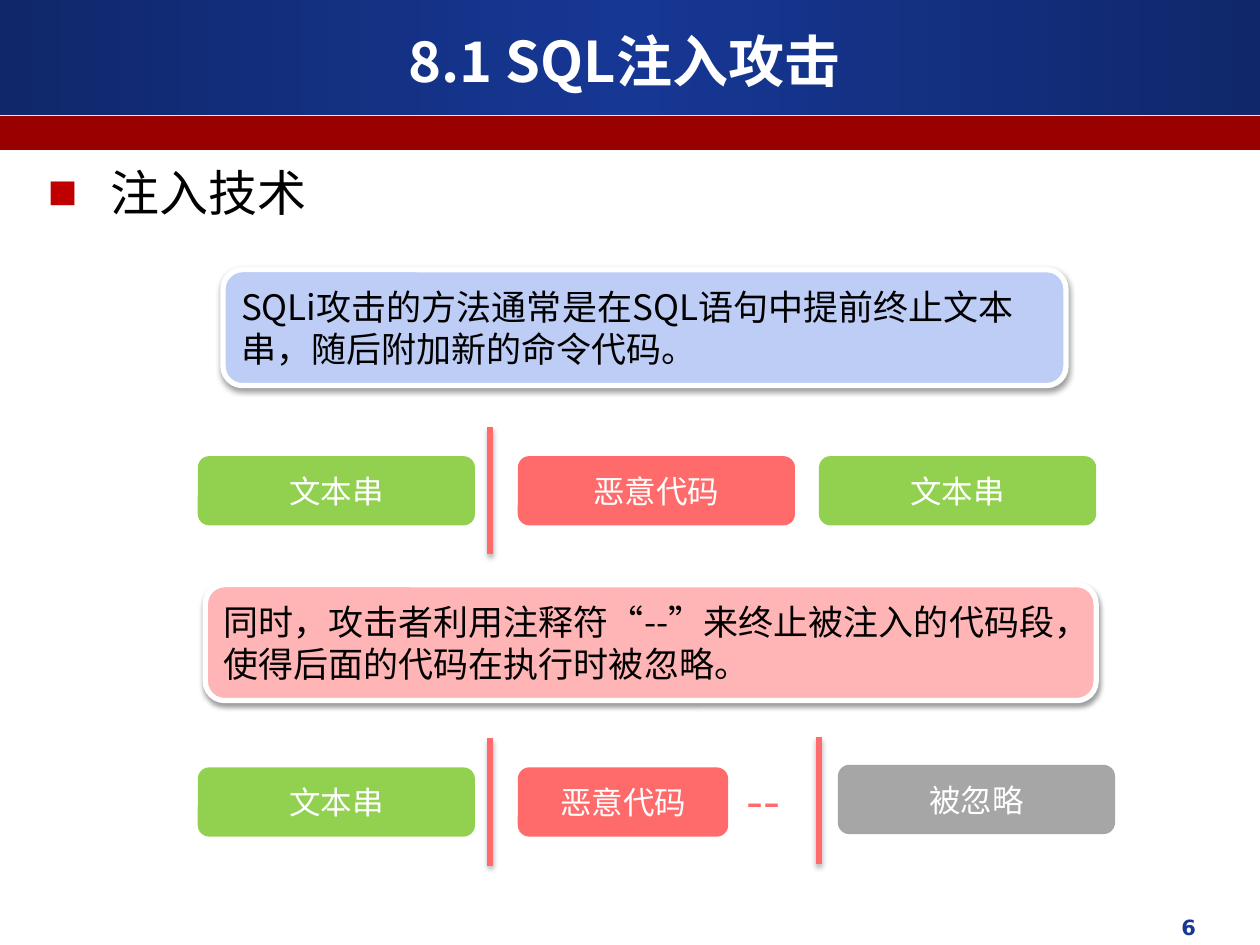
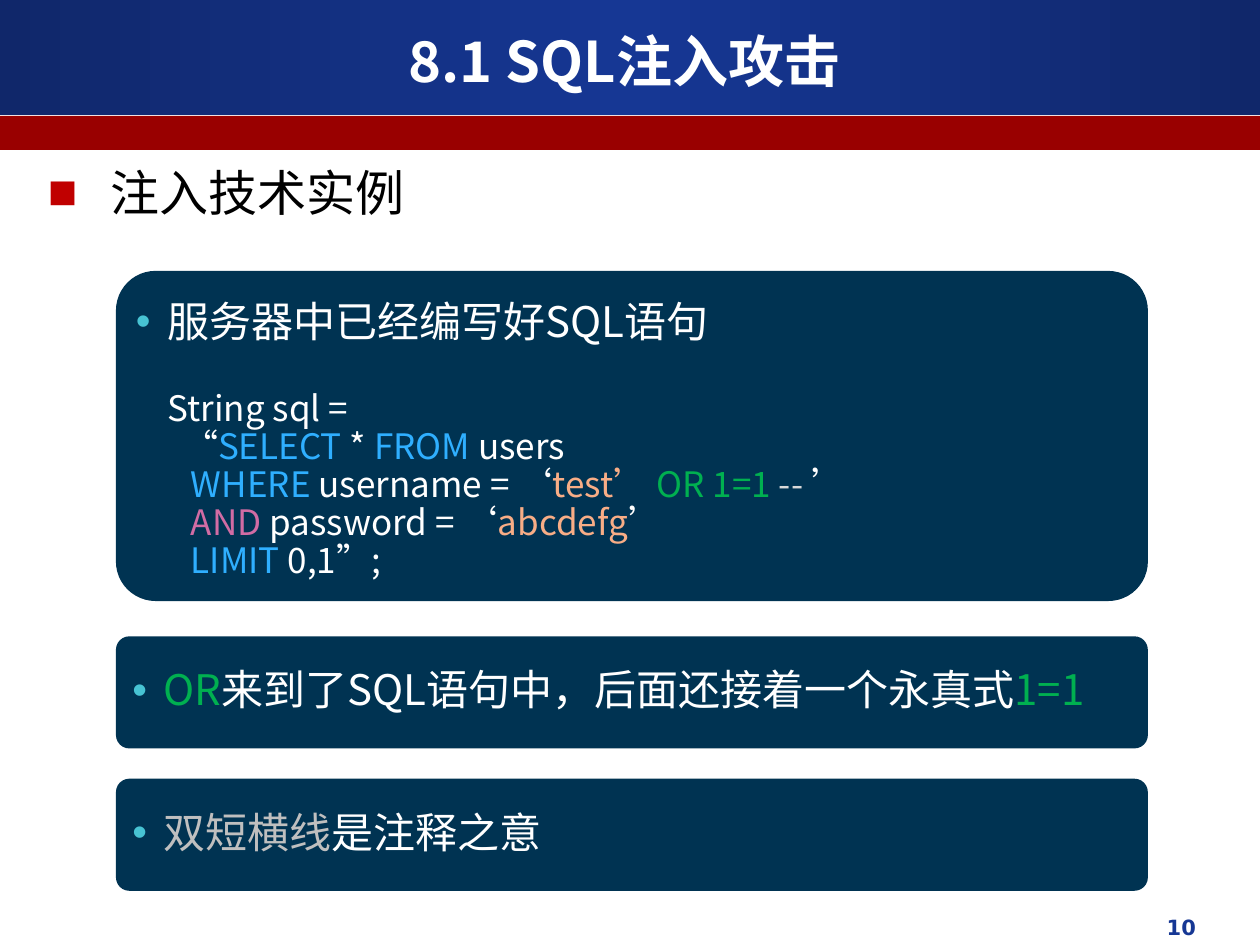
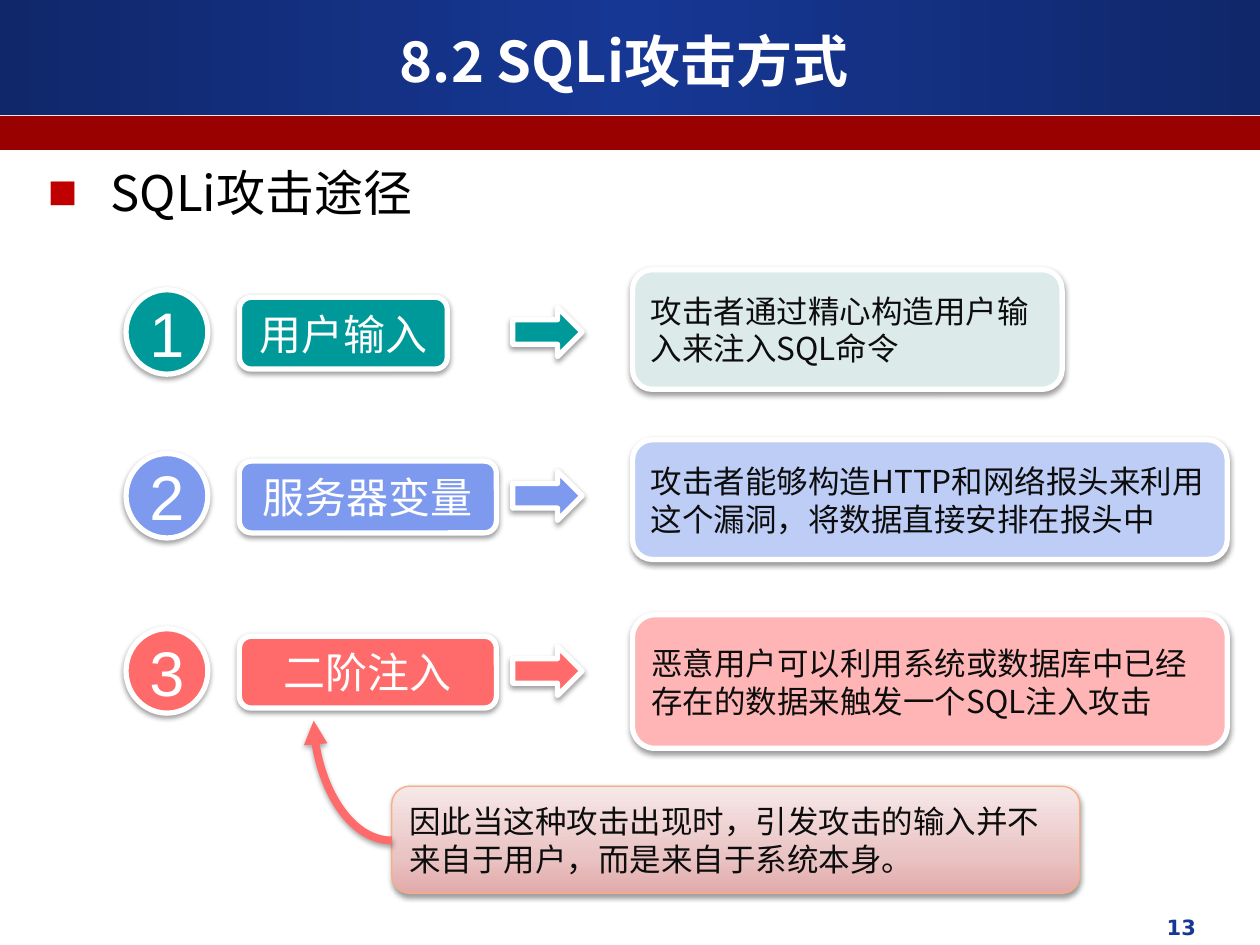
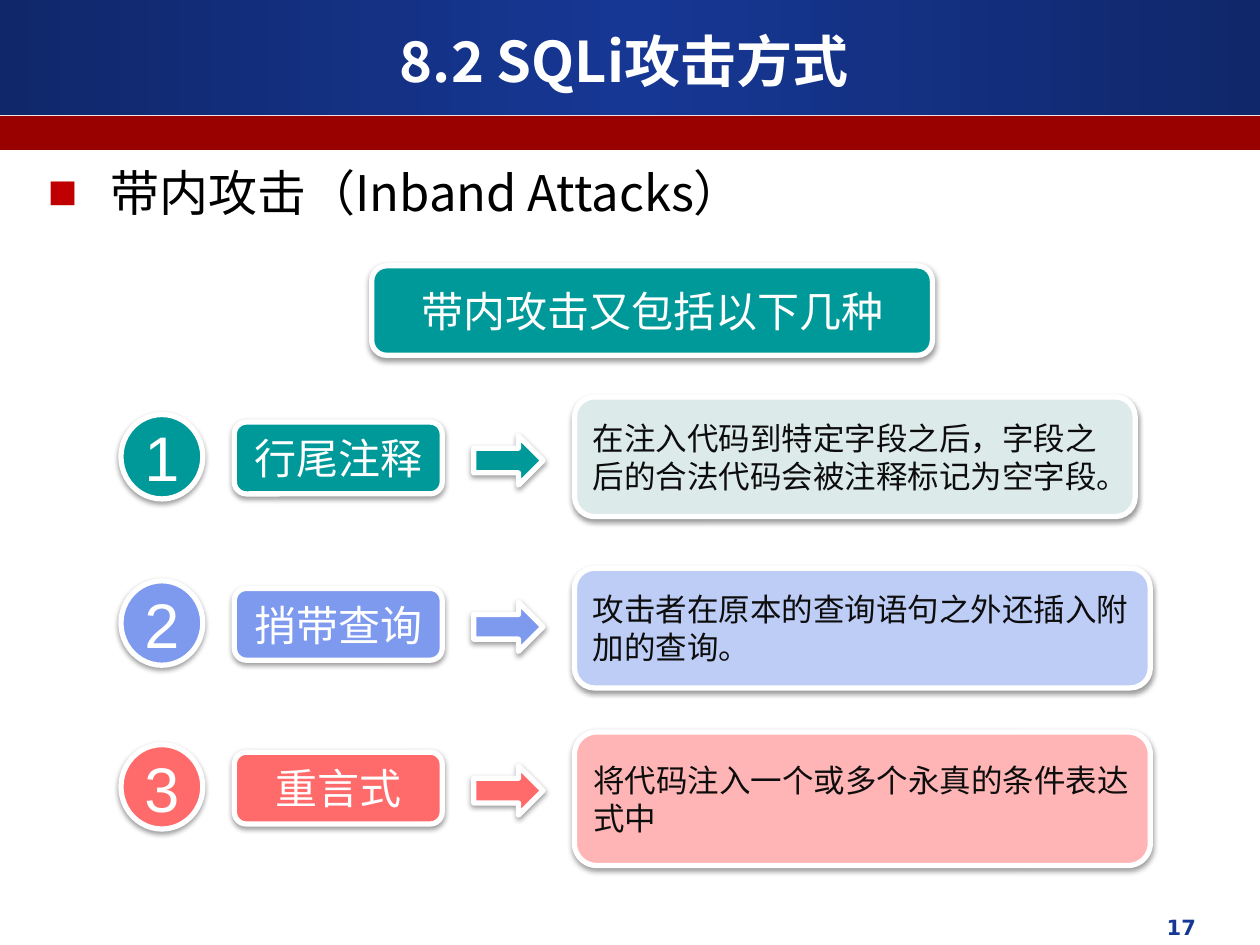
from copy import deepcopy

from lxml.etree import SubElement
from pptx import Presentation
from pptx.dml.color import RGBColor
from pptx.enum.shapes import MSO_CONNECTOR, MSO_SHAPE
from pptx.enum.text import MSO_ANCHOR, MSO_AUTO_SIZE, PP_ALIGN
from pptx.oxml.ns import qn
from pptx.util import Inches, Pt

# ---------- shared look ----------
WIDTH, HEIGHT = 10, 7.5
CJK, ARIAL, NUMERAL = "Noto Sans CJK SC", "Arial", "DejaVu Sans"
WHITE, BLACK, INK = "FFFFFF", "000000", "0D0D0D"
NAVY, BLUE, BAND_RED, BULLET_RED = "10276A", "163794", "990000", "C00000"
TEAL, PERIWINKLE, CORAL = "009999", "7E9AEE", "FF6A6A"
PALE_TEAL, PALE_BLUE, PALE_RED = "DDEAEA", "BECDF6", "FFB5B5"
LIME, GREY, PANEL, CYAN = "92D050", "A6A6A6", "003352", "47C3D3"
KEYWORD, LITERAL, INJECTED, LOGIC = "2FAFFF", "F8AD86", "00B050", "D16CA4"
TITLE_AREA = (0.33, 0.17, 9.25, 0.62)
TOPIC_AREA = (0.28, 1.24, 9.02, 0.57)
NUMBER_AREA = (6.42, 7.21, 3.17, 0.35)
STEP_COLORS = [(TEAL, PALE_TEAL), (PERIWINKLE, PALE_BLUE), (CORAL, PALE_RED)]

# ---------- content ----------
INJECTION, METHODS = "8.1 SQL注入攻击", "8.2 SQLi攻击方式"

# Statement boxes: area, fill, text
STATEMENTS = [
    ((1.77, 2.14, 6.69, 0.92), PALE_BLUE,
     "SQLi攻击的方法通常是在SQL语句中提前终止文本串，随后附加新的命令代码。"),
    ((1.63, 4.64, 7.07, 0.92), PALE_RED,
     "同时，攻击者利用注释符“--”来终止被注入的代码段，使得后面的代码在执行时被忽略。"),
]
# Query pieces: left, top, width, fill, text
PIECES = [
    (1.57, 3.62, 2.2, LIME, "文本串"),
    (4.11, 3.62, 2.2, CORAL, "恶意代码"),
    (6.5, 3.62, 2.2, LIME, "文本串"),
    (1.57, 6.09, 2.2, LIME, "文本串"),
    (4.11, 6.09, 1.67, CORAL, "恶意代码"),
    (6.65, 6.07, 2.2, GREY, "被忽略"),
]
CUTS = [(3.89, 3.39), (3.89, 5.86), (6.5, 5.85)]

QUERY = [
    ("服务器中已经编写好SQL语句\n\n", WHITE, 24), ("String sql = \n  “", WHITE),
    ("SELECT", KEYWORD), (" * ", WHITE), ("FROM", KEYWORD),
    (" users\n   ", WHITE), ("WHERE", KEYWORD), (" username = ‘", WHITE),
    ("test’ ", LITERAL), ("OR 1=1 ", INJECTED), ("-- ", "D9D9D9"),
    ("’\n   ", WHITE), ("AND", LOGIC), (" password = ‘", WHITE),
    ("abcdefg", LITERAL), ("’\n   ", WHITE), ("LIMIT", KEYWORD),
    (" 0,1”;", WHITE),
]
REMARKS = [
    (5.05, [("OR", INJECTED), ("来到了SQL语句中，后面还接着一个永真式", WHITE),
            ("1=1", INJECTED)]),
    (6.18, [("双短横线", "BFBFBF"), ("是注释之意", WHITE)]),
]

# Steps: circle top, label, label width, note top, note width, note height, note
ROUTES = [
    (2.3, "用户输入", 1.65, 2.14, 3.41, 0.95,
     "攻击者通过精心构造用户输入来注入SQL命令"),
    (3.6, "服务器变量", 2.04, 3.49, 4.72, 0.95,
     "攻击者能够构造HTTP和网络报头来利用这个漏洞，将数据直接安排在报头中"),
    (4.99, "二阶注入", 2.04, 4.88, 4.72, 1.06,
     "恶意用户可以利用系统或数据库中已经存在的数据来触发一个SQL注入攻击"),
]
SECOND_ORDER = "因此当这种攻击出现时，引发攻击的输入并不来自于用户，而是来自于系统本身。"
INBAND = [
    (3.29, "行尾注释", 1.65, 3.15, 4.45, 0.95,
     "在注入代码到特定字段之后，字段之后的合法代码会被注释标记为空字段。"),
    (4.61, "捎带查询", 1.65, 4.51, 4.57, 0.95,
     "攻击者在原本的查询语句之外还插入附加的查询。"),
    (5.91, "重言式", 1.65, 5.81, 4.57, 1.06,
     "将代码注入一个或多个永真的条件表达式中"),
]


# ---------- helpers ----------
def rgb(code):
    return RGBColor.from_string(code)


def inches(area):
    return [Inches(v) for v in area]


def write(host, text, size=18, color=WHITE, font=CJK, bold=False, align=PP_ALIGN.LEFT,
          anchor=MSO_ANCHOR.MIDDLE, wrap=True, bullet=None, spacing=1.0, before=0):
    """Fill host with one paragraph; text is a string or (text, color[, size]) runs.

    bullet is (character, color, indent in inches).
    """
    frame = host.text_frame
    frame.word_wrap = wrap
    frame.vertical_anchor = anchor
    paragraph = frame.paragraphs[0]
    paragraph.alignment = align
    paragraph.line_spacing = spacing
    paragraph.space_before = Pt(before)
    if bullet:
        mark, mark_color, indent = bullet
        props = paragraph._p.get_or_add_pPr()
        props.set("marL", str(Inches(indent)))
        props.set("indent", str(-Inches(indent)))
        SubElement(SubElement(props, qn("a:buClr")), qn("a:srgbClr"), val=mark_color)
        SubElement(props, qn("a:buFont"), typeface=ARIAL)
        SubElement(props, qn("a:buChar"), char=mark)
    for words, run_color, *own_size in [(text, color)] if isinstance(text, str) else text:
        for number, line in enumerate(words.split("\n")):
            if number:
                paragraph.add_line_break()
                paragraph._p[-1].append(deepcopy(run_format))
            if not line:
                continue
            run = paragraph.add_run()
            run.text = line
            run.font.size = Pt(own_size[0] if own_size else size)
            run.font.bold = bold
            run.font.name = font
            run.font.color.rgb = rgb(run_color)
            run_format = run._r.get_or_add_rPr()
            SubElement(run_format, qn("a:ea"), typeface=font)


def cast_shadow(part, alpha=38, distance=1.6):
    props = part._element.spPr
    effects = props.find(qn("a:effectLst"))
    if effects is None:
        effects = SubElement(props, qn("a:effectLst"))
    outer = SubElement(effects, qn("a:outerShdw"), blurRad=str(Pt(3.1)),
                       dist=str(Pt(distance)), dir="5400000", algn="t", rotWithShape="0")
    tint = SubElement(outer, qn("a:srgbClr"), val=BLACK)
    SubElement(tint, qn("a:alpha"), val=str(alpha * 1000))


def add_block(slide, kind, area, fill, line=None, line_width=3, angle=0):
    """Draw a preset; fill is a colour or a list of (percent, colour) stops."""
    block = slide.shapes.add_shape(kind, *inches(area))
    block.shadow.inherit = False
    if isinstance(fill, str):
        block.fill.solid()
        block.fill.fore_color.rgb = rgb(fill)
    else:
        block.fill.gradient()
        block.fill.gradient_angle = angle
        stops = block._element.spPr.find(".//" + qn("a:gsLst"))
        stops.clear()
        for percent, color in fill:
            stop = SubElement(stops, qn("a:gs"), pos=str(percent * 1000))
            SubElement(stop, qn("a:srgbClr"), val=color)
    if line:
        block.line.color.rgb = rgb(line)
        block.line.width = Pt(line_width)
        cast_shadow(block)
    else:
        block.line.fill.background()
    return block


def add_card(slide, area, fill, text, **text_format):
    card = add_block(slide, MSO_SHAPE.ROUNDED_RECTANGLE, area, fill, WHITE)
    write(card, text, **text_format)


def add_stroke(slide, kind, start, end, width):
    stroke = slide.shapes.add_connector(kind, *inches(start + end))
    stroke.line.color.rgb = rgb(CORAL)
    stroke.line.width = Pt(width)
    cast_shadow(stroke, alpha=35, distance=1.8)
    return stroke


def add_panel(slide, top, height, radius=0.12):
    panel = add_block(slide, MSO_SHAPE.ROUNDED_RECTANGLE, (0.92, top, 8.19, height), PANEL)
    panel.adjustments[0] = radius
    return panel


def dress_layout(layout, slide):
    """Put the header bands and placeholder places on the layout."""
    header = [(0, NAVY), (50, BLUE), (100, NAVY)]
    bands = [((0, 0, WIDTH, 0.91), header), ((0, 0.92, WIDTH, 0.27), BAND_RED)]
    for position, (area, fill) in enumerate(bands, start=2):
        band = add_block(slide, MSO_SHAPE.RECTANGLE, area, fill)
        layout.shapes.element.insert(position, band._element)
    for holder, area in zip(layout.placeholders, (TITLE_AREA, TOPIC_AREA)):
        holder.left, holder.top, holder.width, holder.height = inches(area)


def start_slide(deck, title, topic, number):
    layout = deck.slide_layouts[1]
    slide = deck.slides.add_slide(layout)
    if len(deck.slides) == 1:
        dress_layout(layout, slide)
    write(slide.shapes.title, title, size=32, bold=True, align=PP_ALIGN.CENTER)
    topic_line = slide.placeholders[1]
    write(topic_line, topic, size=28, color=BLACK, anchor=MSO_ANCHOR.TOP,
          bullet=("■", BULLET_RED, 0.5))
    topic_line.text_frame.auto_size = MSO_AUTO_SIZE.SHAPE_TO_FIT_TEXT
    page = slide.shapes.add_textbox(*inches(NUMBER_AREA))
    write(page, str(number), size=12, color=BLUE, font=NUMERAL, bold=True,
          align=PP_ALIGN.RIGHT, anchor=MSO_ANCHOR.TOP)
    return slide


def add_steps(slide, steps, circle_left, arrow_left, arrow_drop, note_left):
    """Numbered rows: circle, label, arrow, note."""
    rows = zip(steps, STEP_COLORS)
    for number, (step, (strong, pale)) in enumerate(rows, start=1):
        top, label, label_width, note_top, note_width, note_height, note = step
        circle = add_block(slide, MSO_SHAPE.OVAL, (circle_left, top, 0.65, 0.67),
                           strong, WHITE)
        write(circle, str(number), size=36, font=ARIAL, align=PP_ALIGN.CENTER, wrap=False)
        add_card(slide, (circle_left + 0.9, top + 0.06, label_width, 0.57), strong, label,
                 size=24, align=PP_ALIGN.CENTER)
        add_block(slide, MSO_SHAPE.RIGHT_ARROW, (arrow_left, top + arrow_drop, 0.55, 0.39),
                  strong, WHITE)
        add_card(slide, (note_left, note_top, note_width, note_height), pale, note, color=INK)


# ---------- slides ----------
def build_technique(deck):
    slide = start_slide(deck, INJECTION, "注入技术", 6)
    for area, fill, text in STATEMENTS:
        add_card(slide, area, fill, text, size=20, color=BLACK)
    for left, top, width, fill, text in PIECES:
        piece = add_block(slide, MSO_SHAPE.ROUNDED_RECTANGLE, (left, top, width, 0.55), fill)
        write(piece, text, font=ARIAL, align=PP_ALIGN.CENTER)
    for x, top in CUTS:
        add_stroke(slide, MSO_CONNECTOR.STRAIGHT, (x, top), (x, top + 1.01), 3)
    dashes = slide.shapes.add_textbox(*inches((5.83, 6.07, 0.71, 0.57)))
    write(dashes, "--", size=28, color=CORAL, anchor=MSO_ANCHOR.TOP)


def build_example(deck):
    slide = start_slide(deck, INJECTION, "注入技术实例", 10)
    listed = dict(bullet=("•", CYAN, 0.25), spacing=0.9, before=10)
    add_panel(slide, 2.15, 2.62)
    query = slide.shapes.add_textbox(*inches((0.98, 2.34, 7.77, 2.44)))
    write(query, QUERY, size=20, anchor=MSO_ANCHOR.TOP, **listed)
    for top, remark in REMARKS:
        write(add_panel(slide, top, 0.89), remark, size=24, **listed)


def build_routes(deck):
    slide = start_slide(deck, METHODS, "SQLi攻击途径", 13)
    add_steps(slide, ROUTES, circle_left=1, arrow_left=4.07, arrow_drop=0.14, note_left=5.02)
    remark = add_block(slide, MSO_SHAPE.ROUNDED_RECTANGLE, (3.11, 6.24, 5.46, 0.85),
                       [(0, "E2AAAA"), (35, "EAC4C4"), (100, "F7E8E8")],
                       line=LITERAL, line_width=0.75, angle=90)
    write(remark, SECOND_ORDER, color=INK)
    # Quarter curve, turned half round so that it ends under the third label
    curve = add_stroke(slide, MSO_CONNECTOR.CURVE, (2.49, 5.72), (3.11, 6.67), 4.5)
    props = curve._element.spPr
    props.find(qn("a:prstGeom")).set("prst", "curvedConnector2")
    props.find(qn("a:xfrm")).set("rot", "10800000")
    SubElement(props.find(qn("a:ln")), qn("a:tailEnd"), type="triangle")


def build_inband(deck):
    slide = start_slide(deck, METHODS, "带内攻击（Inband Attacks）", 17)
    add_card(slide, (2.95, 2.11, 4.45, 0.71), TEAL, "带内攻击又包括以下几种",
             size=24, align=PP_ALIGN.CENTER)
    add_steps(slide, INBAND, circle_left=0.96, arrow_left=3.76, arrow_drop=0.17,
              note_left=4.56)


def main():
    deck = Presentation()
    deck.slide_width, deck.slide_height = Inches(WIDTH), Inches(HEIGHT)
    for build in (build_technique, build_example, build_routes, build_inband):
        build(deck)
    deck.save("out.pptx")


if __name__ == "__main__":
    main()
